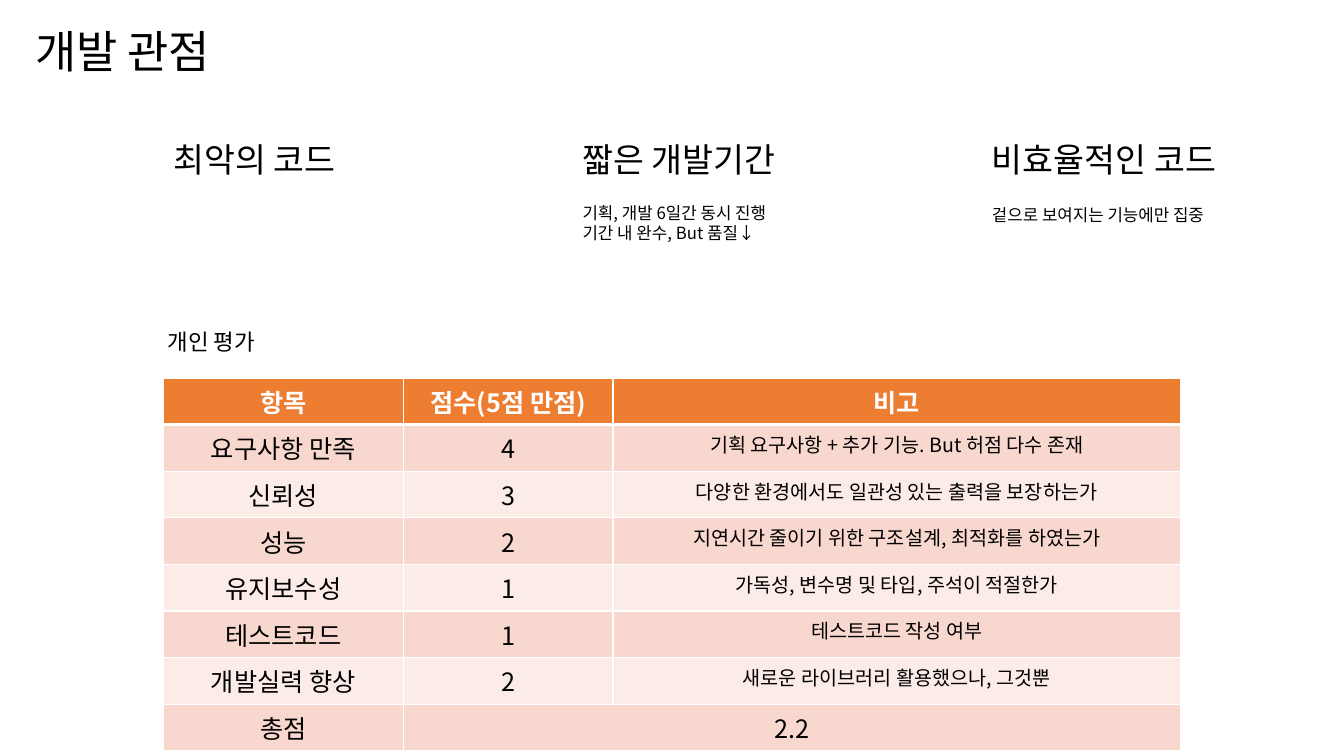
from lxml.etree import SubElement
from pptx import Presentation
from pptx.dml.color import RGBColor
from pptx.enum.text import MSO_AUTO_SIZE as AutoSize, PP_ALIGN as Align
from pptx.oxml.ns import qn
from pptx.util import Inches, Pt

FONT = "Noto Sans CJK KR"
BLACK = RGBColor(0x00, 0x00, 0x00)
WHITE = RGBColor(0xFF, 0xFF, 0xFF)
ORANGE = RGBColor(0xED, 0x7D, 0x31)
BANDS = (RGBColor(0xF8, 0xD7, 0xCE), RGBColor(0xFC, 0xEC, 0xE8))

COLUMN_LEFT, COLUMN_STEP = 1.62, 4.06
COLUMN_WIDTHS = (2.38, 2.08, 5.63)
ROW_HEIGHT = 0.4
HEADINGS = ("최악의 코드", "짧은 개발기간", "비효율적인 코드")
SCORES = (
    ("항목", "점수(5점 만점)", "비고"),
    ("요구사항 만족", "4", "기획 요구사항 + 추가 기능. But 허점 다수 존재"),
    ("신뢰성", "3", "다양한 환경에서도 일관성 있는 출력을 보장하는가"),
    ("성능", "2", "지연시간 줄이기 위한 구조설계, 최적화를 하였는가"),
    ("유지보수성", "1", "가독성, 변수명 및 타입, 주석이 적절한가"),
    ("테스트코드", "1", "테스트코드 작성 여부"),
    ("개발실력 향상", "2", "새로운 라이브러리 활용했으나, 그것뿐"),
    ("총점", "2.2", ""),
)


def write(frame, lines, size, color=BLACK, bold=False, align=Align.LEFT):
    """Fill a text frame with one paragraph per line."""
    for index, line in enumerate(lines):
        para = frame.add_paragraph() if index else frame.paragraphs[0]
        para.alignment = align
        span = para.add_run()
        span.text = line
        formats = {"name": FONT, "size": Pt(size), "bold": bold}
        for name, value in formats.items():
            setattr(span.font, name, value)
        span.font.color.rgb = color
        SubElement(span.font._element, qn("a:ea"), typeface=FONT)


def add_text(page, left, top, width, height, lines, size, align=Align.LEFT):
    """Add a wrapping text box that grows with its text."""
    box = page.shapes.add_textbox(*map(Inches, (left, top, width, height)))
    box.text_frame.word_wrap = True
    box.text_frame.auto_size = AutoSize.SHAPE_TO_FIT_TEXT
    write(box.text_frame, lines, size, align=align)


def set_borders(cell, bottom):
    """Draw white cell borders, with the given bottom width in points."""
    properties = cell._tc.get_or_add_tcPr()
    for side, width in {"L": 1, "R": 1, "T": 1, "B": bottom}.items():
        line = SubElement(properties, qn(f"a:ln{side}"), w=str(Pt(width)))
        fill = SubElement(line, qn("a:solidFill"))
        SubElement(fill, qn("a:srgbClr"), val=str(WHITE))


def add_score_table(page, left, top):
    """Add the score table with a header, bands and a merged total."""
    lengths = (left, top, sum(COLUMN_WIDTHS), ROW_HEIGHT * len(SCORES))
    table = page.shapes.add_table(
        len(SCORES), len(COLUMN_WIDTHS), *map(Inches, lengths)).table
    table.first_row = table.horz_banding = False
    for column, width in zip(table.columns, COLUMN_WIDTHS):
        column.width = Inches(width)
    for row, texts in enumerate(SCORES):
        table.rows[row].height = Inches(ROW_HEIGHT)
        header = row == 0
        for col, text in enumerate(texts):
            cell = table.cell(row, col)
            set_borders(cell, bottom=3 if header else 1)
            cell.fill.solid()
            cell.fill.fore_color.rgb = ORANGE if header else BANDS[(row - 1) % 2]
            if text:
                size = 14 if col == 2 and not header else 18
                write(cell.text_frame, [text], size,
                      WHITE if header else BLACK, header, Align.CENTER)
    last = len(SCORES) - 1
    table.cell(last, 1).merge(table.cell(last, 2))


def main():
    """Build and save the slide."""
    deck = Presentation()
    deck.slide_width, deck.slide_height = Inches(13.33), Inches(7.5)
    page = deck.slides.add_slide(deck.slide_layouts[6])
    lefts = [COLUMN_LEFT + COLUMN_STEP * i for i in range(len(HEADINGS))]

    add_score_table(page, COLUMN_LEFT, 3.75)
    add_text(page, 0.25, 0.19, 3.36, 0.64, ["개발 관점"], 32)
    for left, heading in zip(lefts, HEADINGS):
        add_text(page, left, 1.33, 3.36, 0.5, [heading], 24)
    add_text(page, lefts[1], 1.96, 2.3, 0.5,
             ["기획, 개발 6일간 동시 진행", "기간 내 완수, But 품질↓"], 12)
    add_text(page, lefts[2], 1.98, 2.76, 0.3, ["겉으로 보여지는 기능에만 집중"], 12)
    add_text(page, -0.56, 3.21, 5.31, 0.37, ["개인 평가"], 16, Align.CENTER)
    deck.save("out.pptx")


main()
